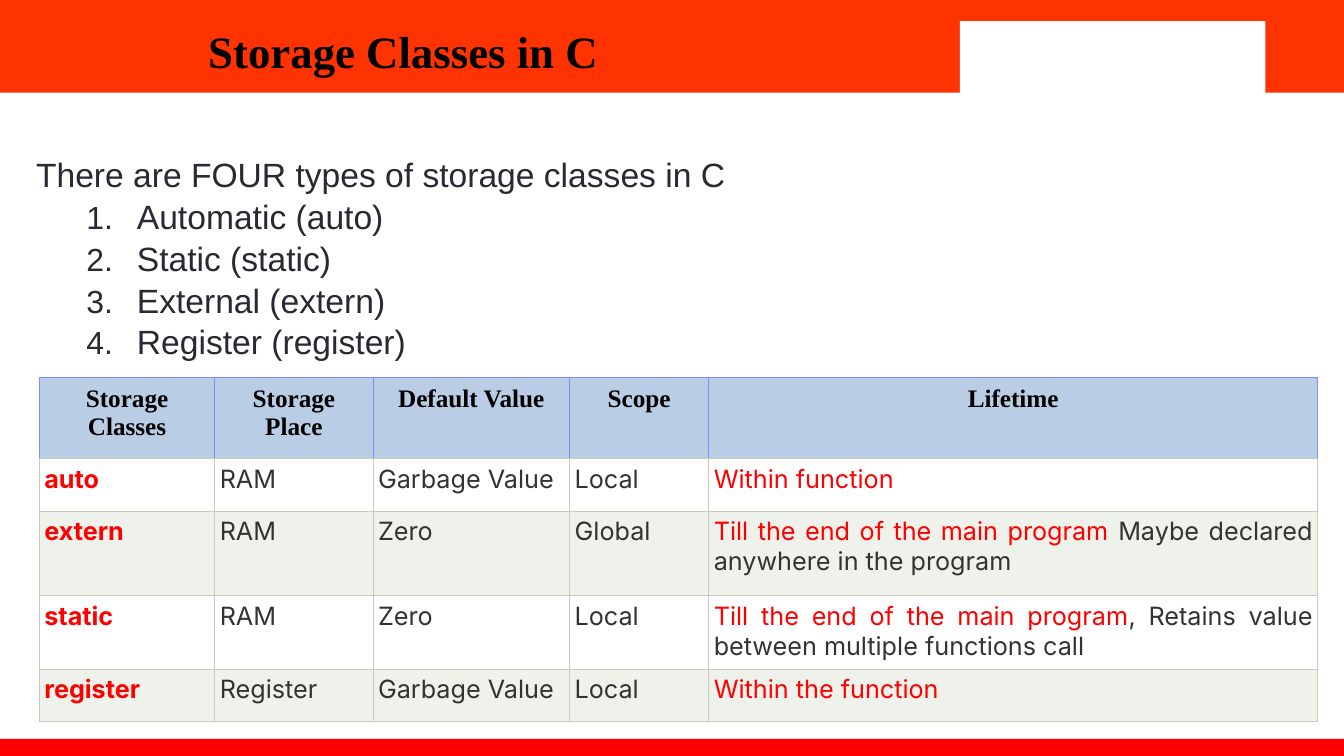
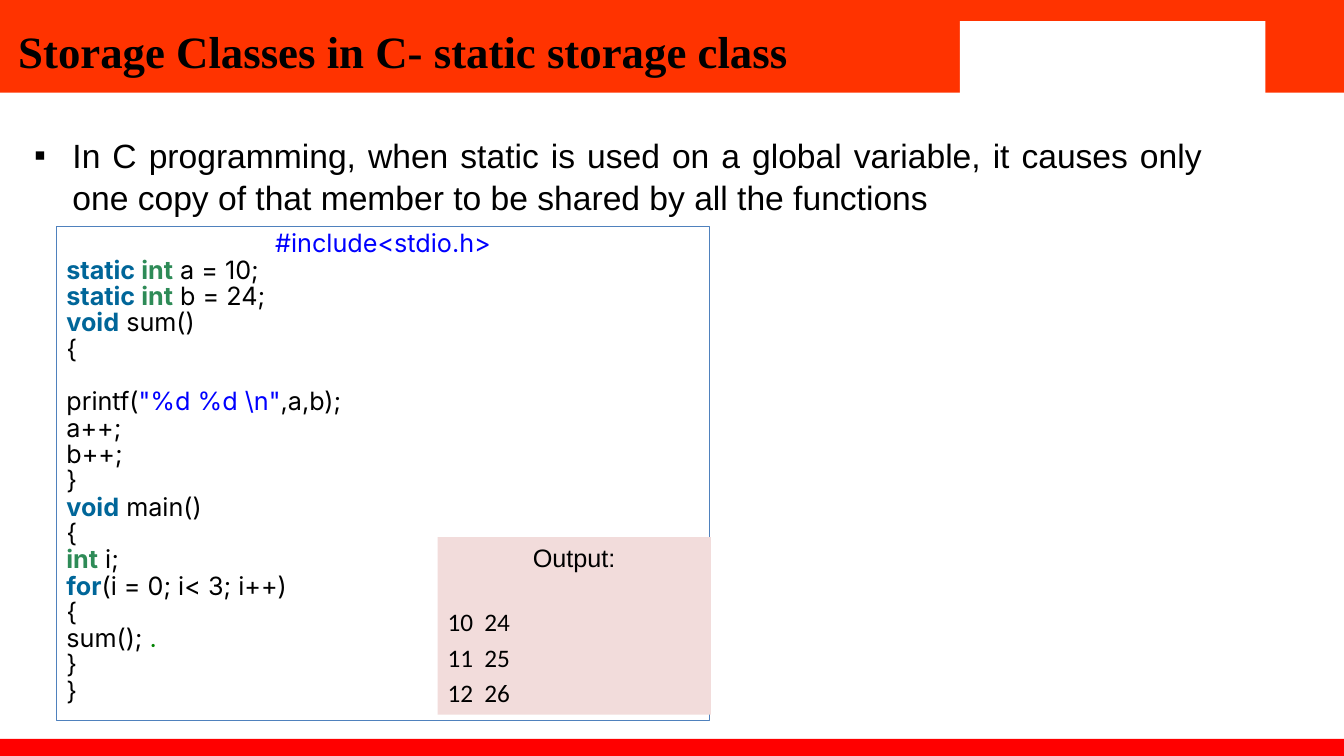
from dataclasses import dataclass, field
from typing import Any, NamedTuple

from lxml import etree
from pptx import Presentation
from pptx.dml.color import RGBColor
from pptx.enum import shapes, text
from pptx.oxml import ns
from pptx.util import Inches, Pt

COLOURS = {
    "band": "FF3300", "red": "FF0000", "white": "FFFFFF", "black": "000000",
    "intro": "292934", "cell": "333333", "head": "B9CDE5", "stripe": "EFF1EB",
    "grid": "C7CCBE", "head_grid": "808DFB", "frame": "4F81BD", "output": "F2DCDB",
    "string": "0000FF", "keyword": "006699", "type": "2E8B57", "comment": "008200",
}
ALIGN = text.PP_ALIGN


class Box(NamedTuple):
    left: float
    top: float
    width: float
    height: float


class Run(NamedTuple):
    words: str
    colour: str = ""
    bold: bool = False


@dataclass
class Style:
    """Font and paragraph format of a block of text."""
    font: str
    size: float
    colour: str
    bold: bool = False
    paragraph: dict[str, Any] = field(default_factory=dict)


@dataclass
class Line:
    """One paragraph with its own format, indent and bullet."""
    runs: list[Run]
    paragraph: dict[str, Any] = field(default_factory=dict)
    margin: float = 0
    indent: float = 0
    bullet: dict[str, dict[str, str]] = field(default_factory=dict)


TITLE = Style("Times New Roman", 32, "black", True, {"alignment": ALIGN.CENTER})
INTRO = Style("Arial", 24, "intro", paragraph={"line_spacing": 1.04})
POINT = Style("Arial", 24, "black", paragraph={
    "alignment": ALIGN.JUSTIFY, "line_spacing": 1.04,
    "space_before": Pt(3), "space_after": Pt(8)})
HEAD_CELL = Style("Times New Roman", 18, "black", True, {"alignment": ALIGN.CENTER})
BODY_CELL = Style("Inter", 18, "cell", paragraph={"alignment": ALIGN.JUSTIFY})
CODE = Style("Inter", 18, "black", paragraph={"line_spacing": Pt(18.8)})
OUTPUT_HEAD = Style("Arial", 18, "black")
OUTPUT = Style("Calibri", 18, "black", paragraph={
    "line_spacing": 1.07, "space_before": Pt(2)})

NUMBERED = {"buSzPct": {"val": "95000"}, "buFont": {"typeface": "Arial"},
            "buAutoNum": {"type": "arabicPeriod"}}
SQUARE = {"buFont": {"typeface": "Arial"}, "buChar": {"char": "▪"}}

# Contents of the first slide
CLASSES = ["Automatic (auto)", "Static (static)", "External (extern)",
           "Register (register)"]
HEADINGS = ["Storage Classes", "Storage Place", "Default Value", "Scope", "Lifetime"]
COLUMNS = [1.74, 1.57, 1.95, 1.38, 6.04]
ROWS = [0.81, 0.52, 0.84, 0.73, 0.52]
# Each row: class, place, default, scope, lifetime in red, rest of lifetime
STORAGE = [
    ("auto", "RAM", "Garbage Value", "Local", "Within function", ""),
    ("extern", "RAM", "Zero", "Global", "Till the end of the main program ",
     "Maybe declared anywhere in the program"),
    ("static", "RAM", "Zero", "Local", "Till the end of the main program",
     ", Retains value between multiple functions call"),
    ("register", "Register", "Garbage Value", "Local", "Within the function", ""),
]

# Contents of the second slide
STATIC, VOID, FOR = (Run(word, "keyword", True) for word in ("static ", "void", "for"))
INT = Run("int", "type", True)
PROGRAM = [
    [Run("#include<stdio.h>", "string")],
    [STATIC, INT, Run(" a = 10;")],
    [STATIC, INT, Run(" b = 24;")],
    [VOID, Run(" sum()")],
    [Run("{")],
    [Run("printf("), Run('"%d %d \\n"', "string"), Run(",a,b);")],
    [Run("a++;")],
    [Run("b++;")],
    [Run("}")],
    [VOID, Run(" main()")],
    [Run("{")],
    [INT, Run(" i;")],
    [FOR, Run("(i = 0; i< 3; i++)")],
    [Run("{")],
    [Run("sum(); "), Run(".", "comment")],
    [Run("}")],
    [Run("}")],
]
PRINTF_LINE = 5
RESULTS = ["10  24", "11  25", "12  26"]


def rgb(name: str) -> RGBColor:
    return RGBColor.from_string(COLOURS[name])


def assign(target: Any, values: dict[str, Any]) -> None:
    for name, value in values.items():
        setattr(target, name, value)


def write(frame: Any, lines: list[Line], style: Style) -> None:
    """Add lines to a text frame, starting in its first paragraph if empty."""
    for line in lines:
        first = frame.paragraphs[0]
        paragraph = frame.add_paragraph() if first.runs else first
        assign(paragraph, style.paragraph | line.paragraph)
        properties = paragraph._p.get_or_add_pPr()
        if line.margin:
            properties.set("marL", str(Inches(line.margin)))
            properties.set("indent", str(Inches(line.indent)))
        for tag, attributes in line.bullet.items():
            etree.SubElement(properties, ns.qn(f"a:{tag}"), attributes)
        for part in line.runs:
            run = paragraph.add_run()
            run.text = part.words
            assign(run.font, {"name": style.font, "size": Pt(style.size),
                              "bold": style.bold or part.bold})
            run.font.color.rgb = rgb(part.colour or style.colour)


def add_panel(slide: Any, box: Box, fill: str = "", outline: str = "") -> Any:
    panel = slide.shapes.add_shape(shapes.MSO_SHAPE.RECTANGLE, *map(Inches, box))
    panel.shadow.inherit = False
    if fill:
        panel.fill.solid()
        panel.fill.fore_color.rgb = rgb(fill)
    else:
        panel.fill.background()
    if outline:
        panel.line.color.rgb = rgb(outline)
        panel.line.width = Pt(0.75)
    else:
        panel.line.fill.background()
    assign(panel.text_frame, {"word_wrap": True, "vertical_anchor": text.MSO_ANCHOR.TOP})
    return panel


def add_text(slide: Any, box: Box, lines: list[Line], style: Style,
             anchor: Any = text.MSO_ANCHOR.TOP) -> None:
    frame = slide.shapes.add_textbox(*map(Inches, box)).text_frame
    assign(frame, {"word_wrap": True, "vertical_anchor": anchor})
    write(frame, lines, style)


def new_slide(deck: Any, title: str) -> Any:
    """Blank slide with the shared bands and title."""
    slide = deck.slides.add_slide(deck.slide_layouts[6])
    add_panel(slide, Box(0, 0, 13.33, 0.92), "band")
    add_panel(slide, Box(0, 7.33, 13.33, 0.22), "red")
    add_panel(slide, Box(9.52, 0.21, 3.03, 0.75), "white")
    add_text(slide, Box(0, 0, 8, 1), [Line([Run(title)])], TITLE, text.MSO_ANCHOR.MIDDLE)
    return slide


def format_cell(cell: Any, fill: str, inset: float, borders: dict[str, str]) -> None:
    assign(cell, {f"margin_{side}": Inches(inset)
                  for side in ("left", "right", "top", "bottom")})
    properties = cell._tc.get_or_add_tcPr()
    for side, colour in borders.items():
        border = etree.SubElement(properties, ns.qn(f"a:ln{side}"), w=str(Pt(0.75)))
        solid = etree.SubElement(border, ns.qn("a:solidFill"))
        etree.SubElement(solid, ns.qn("a:srgbClr"), val=COLOURS[colour])
    cell.fill.solid()
    cell.fill.fore_color.rgb = rgb(fill)


def add_storage_table(slide: Any) -> None:
    table = slide.shapes.add_table(
        len(ROWS), len(COLUMNS), Inches(0.39), Inches(3.74),
        Inches(sum(COLUMNS)), Inches(sum(ROWS))).table
    assign(table, {"first_row": False, "horz_banding": False})
    for column, width in zip(table.columns, COLUMNS):
        column.width = Inches(width)
    for row, height in zip(table.rows, ROWS):
        row.height = Inches(height)

    # Heading row
    for cell, heading in zip(table.rows[0].cells, HEADINGS):
        format_cell(cell, "head", 0.08, dict.fromkeys("LRT", "head_grid") | {"B": "grid"})
        write(cell.text_frame, [Line([Run(heading)])], HEAD_CELL)

    # One row for each storage class
    for number, (name, *facts, lifetime, rest) in enumerate(STORAGE, 1):
        entries = [[Run(name, "red", True)], *([Run(fact)] for fact in facts),
                   [Run(lifetime, "red")] + ([Run(rest)] if rest else [])]
        for cell, runs in zip(table.rows[number].cells, entries):
            top = "head_grid" if number == 0 else "grid"
            format_cell(cell, "white" if number % 2 else "stripe", 0.05,
                        dict.fromkeys("LRTB", top))
            write(cell.text_frame, [Line(runs)], BODY_CELL)


def build_overview(deck: Any) -> None:
    slide = new_slide(deck, "Storage Classes in C")
    add_storage_table(slide)
    intro = [Line([Run("There are FOUR types of storage classes in C")], margin=0.01)]
    intro += [Line([Run(name)], margin=1.01, indent=-0.5, bullet=NUMBERED)
              for name in CLASSES]
    add_text(slide, Box(0.25, 1.46, 12.83, 2.12), intro, INTRO)


def build_static_class(deck: Any) -> None:
    slide = new_slide(deck, "Storage Classes in C- static storage class")

    # Program listing, with one line's gap above printf
    listing = [Line(runs) for runs in PROGRAM]
    listing[PRINTF_LINE].paragraph = {"space_before": Pt(18.8)}
    program = add_panel(slide, Box(0.56, 2.25, 6.48, 4.9), outline="frame")
    write(program.text_frame, listing, CODE)

    # Program output
    results = [Line([Run(result)]) for result in RESULTS]
    results[0].paragraph = {"space_before": Pt(23)}
    output = add_panel(slide, Box(4.34, 5.33, 2.71, 1.76), "output")
    write(output.text_frame, [Line([Run("Output:")])], OUTPUT_HEAD)
    write(output.text_frame, results, OUTPUT)

    # Explanation
    explanation = Run("In C programming, when static is used on a global variable, it causes "
                      "only one copy of that member to be shared by all the functions")
    add_text(slide, Box(0.24, 1.27, 11.78, 0.91),
             [Line([explanation], margin=0.38, indent=-0.38, bullet=SQUARE)], POINT)


def main() -> None:
    deck = Presentation()
    assign(deck, {"slide_width": Inches(13.33), "slide_height": Inches(7.5)})
    build_overview(deck)
    build_static_class(deck)
    deck.save("out.pptx")


if __name__ == "__main__":
    main()
